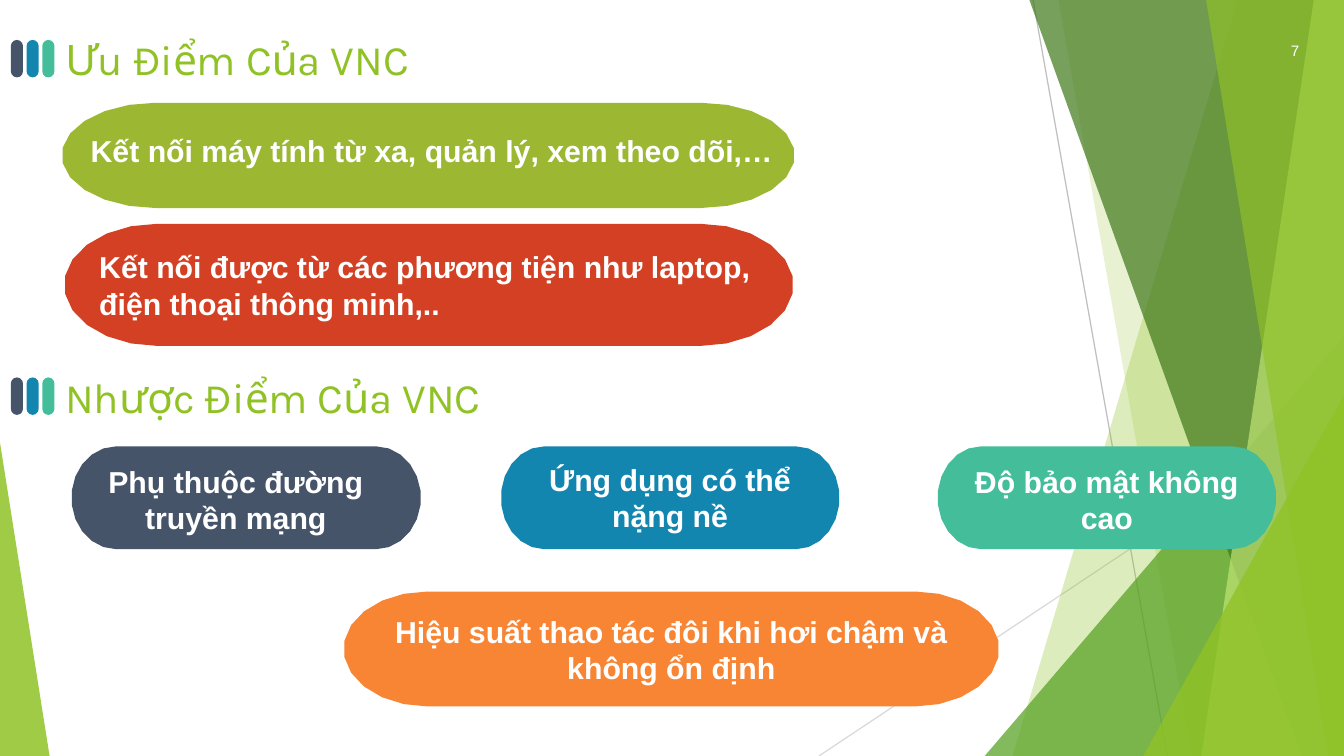
import math

import lxml.etree
import pptx
import pptx.dml.color
import pptx.enum.shapes
import pptx.enum.text
import pptx.oxml.ns
import pptx.util

Inches = pptx.util.Inches
RGB = pptx.dml.color.RGBColor
SHAPE = pptx.enum.shapes.MSO_SHAPE
ALIGN = pptx.enum.text.PP_ALIGN
qn = pptx.oxml.ns.qn

WHITE = RGB(0xFF, 0xFF, 0xFF)
LIME = RGB(0x90, 0xC2, 0x26)
GREEN = RGB(0x54, 0xA0, 0x21)
FOREST = RGB(0x3F, 0x78, 0x19)
PALE = RGB(0xC0, 0xE4, 0x74)
GREY = RGB(0xBF, 0xBF, 0xBF)
LIGHT_GREY = RGB(0xD9, 0xD9, 0xD9)
OLIVE = RGB(0x9C, 0xB8, 0x33)
RED = RGB(0xD3, 0x40, 0x23)
SLATE = RGB(0x46, 0x54, 0x6A)
BLUE = RGB(0x13, 0x86, 0xB0)
TEAL = RGB(0x44, 0xBD, 0x9B)
ORANGE = RGB(0xF8, 0x85, 0x34)

WIDTH, HEIGHT = 11.11, 6.25
HEADING = {"name": "Karla", "size": pptx.util.Pt(25)}
LABEL = {"name": "Arial", "size": pptx.util.Pt(18), "bold": True}
NUMBER = {"name": "Arial", "size": pptx.util.Pt(9)}


def paint(sp, color, alpha=100):
    """Give a shape a flat fill with the given opacity in percent."""
    sp.shadow.inherit = False
    sp.line.fill.background()
    sp.fill.solid()
    sp.fill.fore_color.rgb = color
    if alpha < 100:
        clr = sp.fill._xPr.find(qn("a:solidFill"))[0]
        lxml.etree.SubElement(clr, qn("a:alpha"), val=str(alpha * 1000))


def add_polygon(s, points, color, alpha=100):
    """Draw a closed outline through points given in inches."""
    pts = [(Inches(x), Inches(y)) for x, y in points]
    fb = s.shapes.build_freeform(*pts[0])
    fb.add_line_segments(pts[1:], close=True)
    paint(fb.convert_to_shape(), color, alpha)


def add_preset(s, kind, box, adj, color, alpha=100):
    """Draw an adjustable preset shape."""
    sp = s.shapes.add_shape(kind, *map(Inches, box))
    sp.adjustments[0] = adj
    paint(sp, color, alpha)


def add_line(s, ends, color):
    """Draw a thin straight line."""
    line = s.shapes.add_connector(
        pptx.enum.shapes.MSO_CONNECTOR.STRAIGHT, *map(Inches, ends))
    line.line.color.rgb = color
    line.line.width = pptx.util.Pt(0.75)
    lxml.etree.SubElement(line._element.spPr, qn("a:effectLst"))


def write(sp, lines, font, color, align=ALIGN.LEFT, top=0.01):
    """Fill a text shape with one paragraph per line."""
    tf = sp.text_frame
    frame = {"word_wrap": True, "auto_size": pptx.enum.text.MSO_AUTO_SIZE.NONE,
             "vertical_anchor": pptx.enum.text.MSO_ANCHOR.TOP,
             "margin_left": 0, "margin_right": 0, "margin_bottom": 0,
             "margin_top": Inches(top)}
    for name, value in frame.items():
        setattr(tf, name, value)
    for i, text in enumerate(lines):
        p = tf.add_paragraph() if i else tf.paragraphs[0]
        p.alignment = align
        p.space_before = pptx.util.Pt(0.9 if i else 0)
        r = p.add_run()
        r.text = text
        for name, value in font.items():
            setattr(r.font, name, value)
        r.font.color.rgb = color


def add_backdrop(s, box):
    """Draw the overlapping green facets along the edges of the box."""
    x, y, w, h = box
    right, bottom = x + w, y + h
    add_line(s, (x + 8.54, y, x + 9.65, bottom), GREY)
    add_line(s, (right, y + 3.36, x + 6.77, bottom), LIGHT_GREY)

    def facet(top_x, bottom_x, color, alpha):
        add_polygon(s, [(x + top_x, y), (right, y), (right, bottom),
                        (x + bottom_x, bottom)], color, alpha)

    def corner(cw, ch, color, alpha, left=False):
        cx = x if left else right - cw
        add_preset(s, SHAPE.ISOSCELES_TRIANGLE, (cx, bottom - ch, cw, ch),
                   0 if left else 1, color, alpha)

    facet(10.23, 8.37, LIME, 30)
    facet(8.75, 9.85, LIME, 20)
    corner(2.97, 3.47, GREEN, 72)
    facet(8.51, 10.76, FOREST, 70)
    facet(10.86, 9.93, PALE, 70)
    facet(9.97, 10.98, LIME, 65)
    corner(1.66, 2.98, LIME, 80)
    corner(0.41, 2.59, LIME, 85, left=True)


def add_heading(s, box, text, sp=None):
    """Place three upright bars and a section heading in the box."""
    x, y, w, h = box
    for i, color in enumerate((SLATE, BLUE, TEAL)):
        add_preset(s, SHAPE.ROUNDED_RECTANGLE,
                   (x + 0.13 * i, y + 0.19, 0.1, 0.31), 0.5, color)
    sp = sp or s.shapes.add_textbox(0, 0, 0, 0)
    for name, value in zip(("left", "top", "width", "height"),
                           (x + 0.45, y, w - 0.45, h)):
        setattr(sp, name, Inches(value))
    write(sp, [text], HEADING, LIME, top=0.14)


def add_pill(s, box, color, inner, lines, align=ALIGN.CENTER):
    """Draw a pill with elliptical ends and a label at an offset inside it."""
    x, y, w, h = box
    rx, ry = 0.128 * w, h / 2
    points = []
    for step in range(24):
        a = math.pi * (step / 11.5 - 0.5 if step < 12 else (step - 1) / 11 - 0.5)
        a = math.pi * ((step % 12) / 11 - 0.5 + step // 12)
        cx = x + w - rx if step < 12 else x + rx
        points.append((cx + rx * math.cos(a), y + ry + ry * math.sin(a)))
    add_polygon(s, points, color)
    dx, dy, tw, th = inner
    tb = s.shapes.add_textbox(*map(Inches, (x + dx, y + dy, tw, th)))
    write(tb, lines, LABEL, WHITE, align)


def add_advantages(s, box):
    """Stack the advantages of VNC under the slide title."""
    x, y, w, h = box
    add_heading(s, (x, y + 0.02, 4.71, 0.83), "Ưu Điểm Của VNC", s.shapes.title)
    add_pill(s, (x + 0.42, y + 0.73, 6.06, 0.87), OLIVE, (0.24, 0.23, 5.77, 0.32),
             ["Kết nối máy tính từ xa, quản lý, xem theo dõi,…"], ALIGN.LEFT)
    add_pill(s, (x + 0.44, y + 1.73, 6.03, 1.01), RED, (0.29, 0.19, 5.99, 0.63),
             ["Kết nối được từ các phương tiện như laptop,",
              "điện thoại thông minh,.."], ALIGN.LEFT)


def add_drawbacks(s, box):
    """Set three drawbacks of VNC in a row and a wide one below."""
    x, y, w, h = box
    add_heading(s, (x, y, 4.71, 0.83), "Nhược Điểm Của VNC")
    row = [(0.5, 2.89, SLATE, 0.23, 0.13, "Phụ thuộc đường truyền mạng"),
           (4.05, 2.8, BLUE, 0.27, 0.11, "Ứng dụng có thể nặng nề"),
           (7.66, 2.8, TEAL, 0.27, 0.13, "Độ bảo mật không cao")]
    for left, pw, color, dx, dy, text in row:
        add_pill(s, (x + left, y + 0.76, pw, 0.85), color,
                 (dx, dy, 2.26, 0.62), [text])
    add_pill(s, (x + 2.75, y + 1.96, 5.42, 0.95), ORANGE, (0.24, 0.17, 4.94, 0.62),
             ["Hiệu suất thao tác đôi khi hơi chậm và không ổn định"])


def main():
    """Build the slide and save it."""
    prs = pptx.Presentation()
    prs.slide_width, prs.slide_height = Inches(WIDTH), Inches(HEIGHT)
    s = prs.slides.add_slide(prs.slide_layouts[5])
    add_backdrop(s, (0, 0, WIDTH, HEIGHT))
    number = s.shapes.add_textbox(*map(Inches, (10.67, 0.33, 0.1, 0.18)))
    write(number, ["7"], NUMBER, WHITE)
    add_advantages(s, (0.09, 0.12, 6.48, 2.74))
    add_drawbacks(s, (0.09, 2.93, 10.46, 2.91))
    prs.save("out.pptx")


if __name__ == "__main__":
    main()
